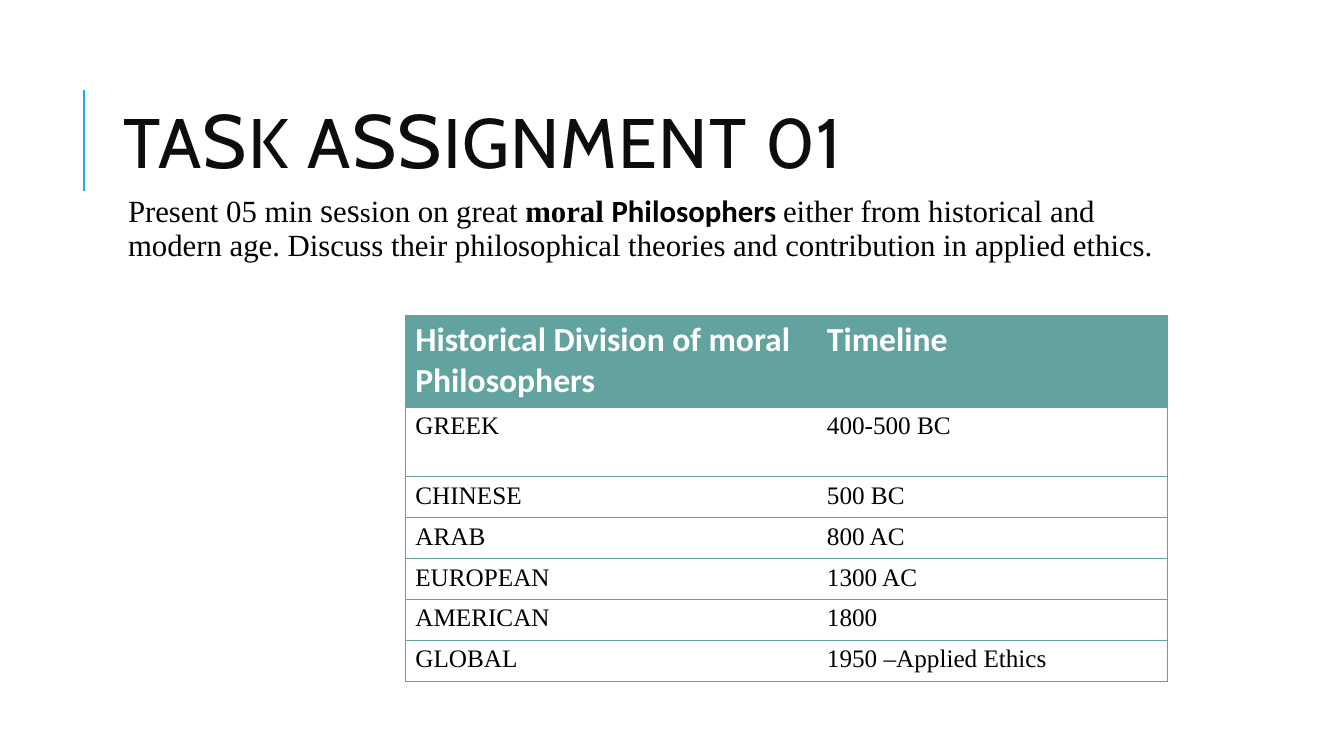
from dataclasses import dataclass
from lxml.etree import SubElement
from pptx import Presentation
from pptx.dml.color import RGBColor
from pptx.enum.shapes import MSO_CONNECTOR as Connector
from pptx.enum.text import MSO_ANCHOR as Anchor, MSO_AUTO_SIZE as AutoSize, PP_ALIGN as Align
from pptx.oxml.ns import qn
from pptx.util import Emu, Pt

PX = 9525  # EMU in one px, 96 px to the inch


@dataclass(frozen=True)
class Theme:
    accent: str = "1CADE4"
    teal: str = "62A39F"
    title_ink: str = "0D0D0D"
    ink: str = "000000"
    white: str = "FFFFFF"
    heading: str = "Cabin"
    sans: str = "Calibri"
    serif: str = "Times New Roman"
    title_size: int = 50
    title_large: int = 54
    body_size: int = 22
    body_large: int = 24
    body_small: int = 20
    header_size: int = 24
    cell_size: int = 18


theme = Theme()


def write(para, text, font=theme.serif, size=theme.body_size, color=theme.ink, bold=False, spacing=None):
    span = para.add_run()
    span.text = text
    span.font.name = font
    span.font.size = Pt(size)
    span.font.bold = bold
    span.font.color.rgb = RGBColor.from_string(color)
    if spacing is not None:
        span.font._element.set("spc", str(spacing))


def draw_border(cell, side, color=None):
    line = SubElement(cell._tc.get_or_add_tcPr(), qn(f"a:ln{side}"), w=str(Pt(0.75)))
    if color is None:
        SubElement(line, qn("a:noFill"))
    else:
        SubElement(SubElement(line, qn("a:solidFill")), qn("a:srgbClr"), val=color)


deck = Presentation()
deck.slide_width, deck.slide_height = Emu(1280 * PX), Emu(720 * PX)
page = deck.slides.add_slide(deck.slide_layouts[5])

# Accent line beside the title
accent = page.shapes.add_connector(Connector.STRAIGHT, 80 * PX, 182 * PX, 80 * PX, 86 * PX)
accent.line.color.rgb = RGBColor.from_string(theme.accent)
accent.line.width = Pt(1.5)
SubElement(accent._element.spPr, qn("a:effectLst"))

# Title, with a larger S
title = page.shapes.title
title.left, title.top, title.width, title.height = (Emu(n * PX) for n in (108, 61, 1020, 157))
frame = title.text_frame
frame.word_wrap = True
frame.auto_size = AutoSize.NONE
frame.vertical_anchor = Anchor.MIDDLE
para = frame.paragraphs[0]
para.alignment = Align.LEFT
para.line_spacing = 0.8
for text, size in [
    ("TA", theme.title_size),
    ("S", theme.title_large),
    ("K A", theme.title_size),
    ("SS", theme.title_large),
    ("IGNMENT 01", theme.title_size),
]:
    write(para, text, font=theme.heading, size=size, color=theme.title_ink, spacing=100)

# Task description
box = page.shapes.add_textbox(108 * PX, 179 * PX, 1020 * PX, 124 * PX)
frame = box.text_frame
frame.word_wrap = True
frame.margin_left = Emu(14 * PX)
frame.margin_top = frame.margin_right = frame.margin_bottom = Emu(5 * PX)
para = frame.paragraphs[0]
para.line_spacing = 0.9
para.space_before, para.space_after = Pt(12), Pt(2)
for text, style in [
    ("Present 05 min ", {}),
    ("s", {"size": theme.body_large}),
    ("e", {}),
    ("s", {"size": theme.body_large}),
    ("s", {"size": theme.body_small}),
    ("ion on great ", {}),
    ("moral ", {"bold": True}),
    ("Philosophers ", {"bold": True, "font": theme.sans}),
    ("either from historical and modern age. Discuss their philosophical theories "
     "and contribution in applied ethics.", {}),
]:
    write(para, text, **style)

# Timeline table
rows = [
    ("Historical Division of moral Philosophers", "Timeline"),
    ("GREEK", "400-500 BC"),
    ("CHINESE", "500 BC"),
    ("ARAB", "800 AC"),
    ("EUROPEAN", "1300 AC"),
    ("AMERICAN", "1800"),
    ("GLOBAL", "1950 –Applied Ethics"),
]
widths = [392, 334]
heights = [88, 66] + [39] * 5
table = page.shapes.add_table(
    len(rows), len(widths), 386 * PX, 300 * PX, sum(widths) * PX, sum(heights) * PX
).table
table.first_row = table.horz_banding = False
for column, width in zip(table.columns, widths):
    column.width = Emu(width * PX)
for r, (values, height) in enumerate(zip(rows, heights)):
    table.rows[r].height = Emu(height * PX)
    for c, text in enumerate(values):
        cell = table.cell(r, c)
        draw_border(cell, "L", theme.teal if c == 0 else None)
        draw_border(cell, "R", theme.teal if c == 1 else None)
        draw_border(cell, "T", theme.teal)
        draw_border(cell, "B", theme.teal)
        para = cell.text_frame.paragraphs[0]
        if r == 0:
            cell.fill.solid()
            cell.fill.fore_color.rgb = RGBColor.from_string(theme.teal)
            write(para, text, font=theme.sans, size=theme.header_size, color=theme.white, bold=True)
        else:
            cell.fill.background()
            write(para, text, size=theme.cell_size)

deck.save("out.pptx")
